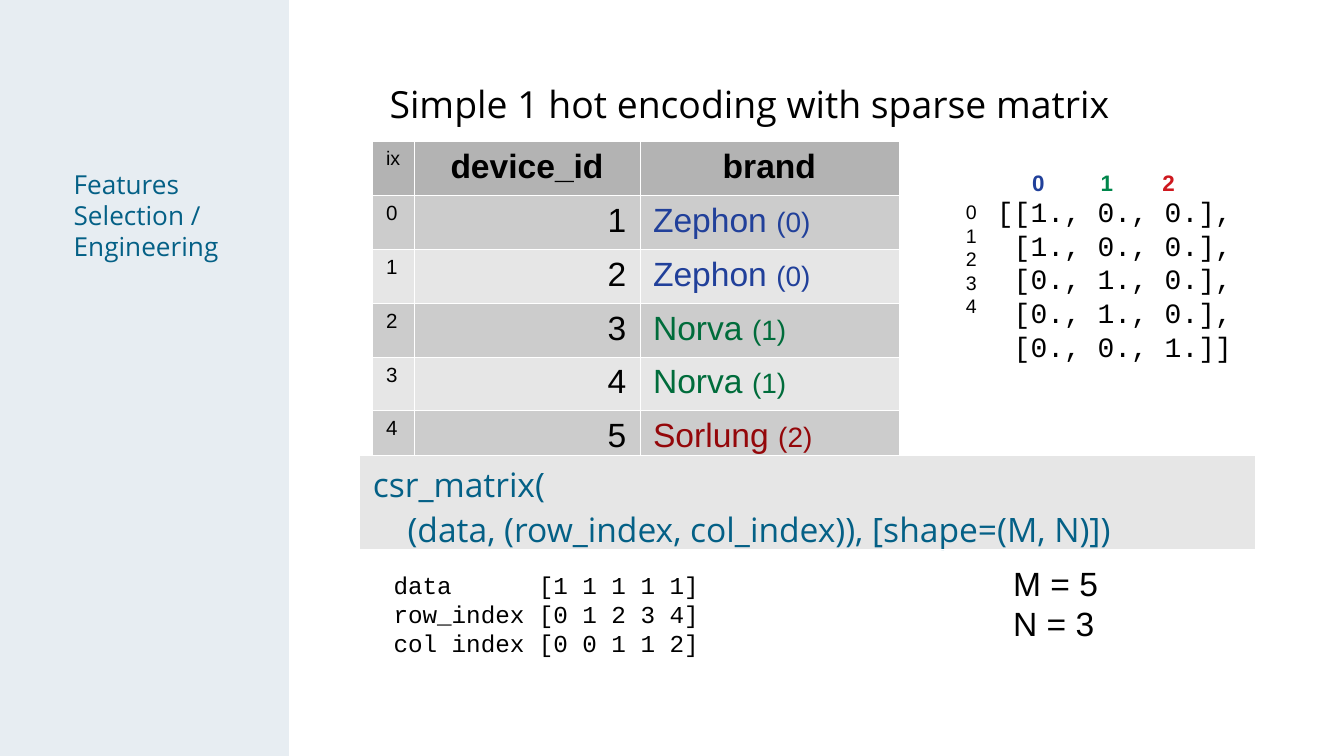
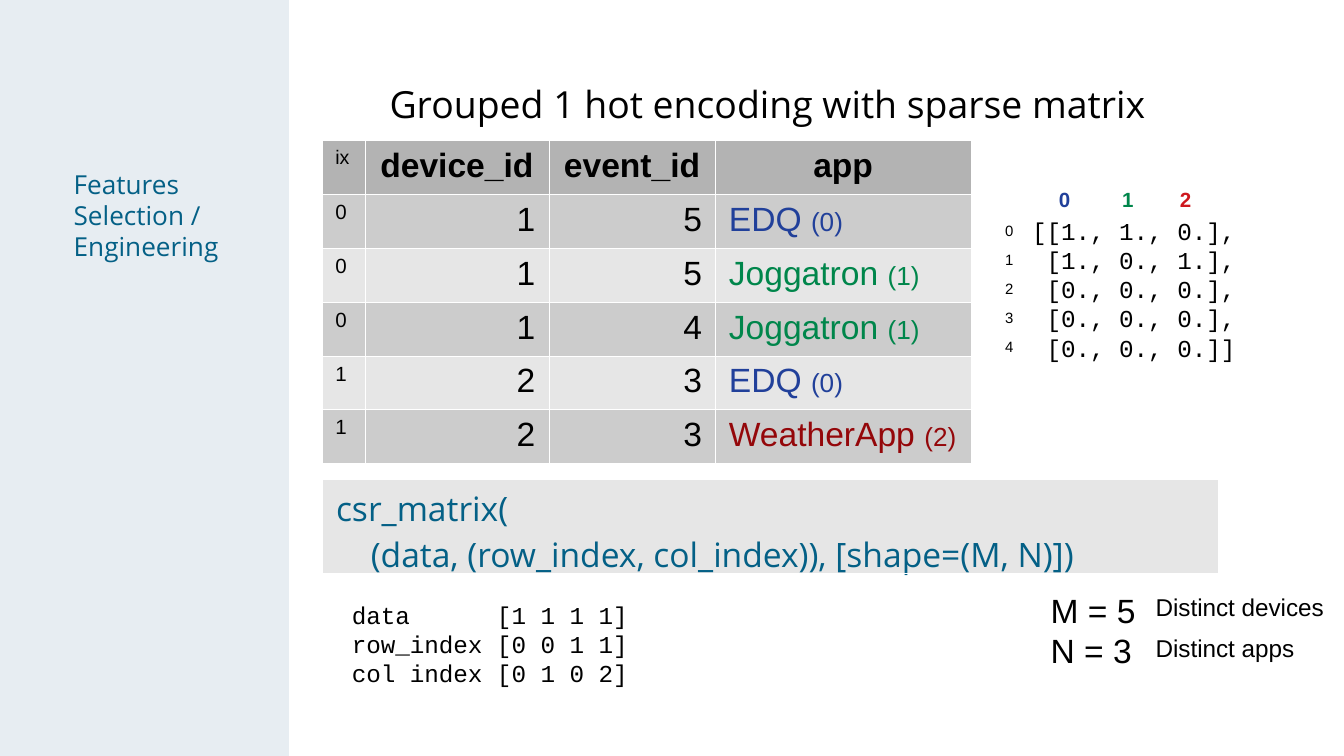
from dataclasses import dataclass

from lxml import etree
from pptx import Presentation
from pptx import util as u
from pptx.dml.color import RGBColor
from pptx.enum import shapes, text
from pptx.oxml import ns

Pt = u.Pt
ALIGN = text.PP_ALIGN


@dataclass(frozen=True)
class Theme:
    sans: str = "Open Sans"
    plain: str = "Arial"
    mono: str = "Courier New"
    ink: str = "000000"
    teal: str = "046086"
    side: str = "E7EDF2"
    white: str = "FFFFFF"
    head: str = "B3B3B3"
    dark: str = "CCCCCC"
    light: str = "E6E6E6"
    blue: str = "21409A"
    green: str = "00864B"
    pine: str = "006C3B"
    red: str = "CE181E"
    wine: str = "94070A"
    title: float = 20
    large: float = 18
    mid: float = 15
    label: float = 14
    body: float = 13
    axis: float = 12
    index: float = 11
    small: float = 10.5
    tiny: float = 8
    row: float = 27.5
    rule: float = 0.06


class Deck:
    def __init__(self, theme):
        self.theme = theme
        self.prs = Presentation()
        self.prs.slide_width = Pt(720)
        self.prs.slide_height = Pt(405)
        self.slide = None

    def style(self, run, size, color=None, font=None, bold=False):
        run.font.size = Pt(size)
        run.font.name = font or self.theme.plain
        run.font.bold = bold
        run.font.color.rgb = RGBColor.from_string(color or self.theme.ink)

    def fill_text(self, frame, words, size, color=None, font=None, bold=False,
                  align=ALIGN.LEFT, after=0):
        frame.text = words
        for para in frame.paragraphs:
            para.alignment = align
            if after:
                para.space_after = Pt(after)
            for run in para.runs:
                self.style(run, size, color, font, bold)

    def frame(self, x, y, w, h):
        box = self.slide.shapes.add_textbox(Pt(x), Pt(y), Pt(w), Pt(h))
        box.text_frame.word_wrap = True
        return box.text_frame

    def label(self, x, y, w, h, words, size, **look):
        self.fill_text(self.frame(x, y, w, h), words, size, **look)

    def page(self, title):
        t = self.theme
        self.slide = self.prs.slides.add_slide(self.prs.slide_layouts[6])
        band = self.slide.shapes.add_shape(
            shapes.MSO_SHAPE.RECTANGLE, 0, 0, Pt(154.8), self.prs.slide_height)
        band.shadow.inherit = False
        band.fill.solid()
        band.fill.fore_color.rgb = RGBColor.from_string(t.side)
        band.line.fill.background()
        self.label(32.4, 86.4, 124, 74, "Features Selection / Engineering",
                   t.label, color=t.teal, font=t.sans)
        self.label(201.6, 40, 461.5, 35, title, t.title, font=t.sans)

    def paint(self, cell, fill):
        cell.fill.solid()
        cell.fill.fore_color.rgb = RGBColor.from_string(fill)
        props = cell._tc.get_or_add_tcPr()
        for spot, side in enumerate(("a:lnL", "a:lnR", "a:lnT", "a:lnB")):
            line = etree.Element(ns.qn(side), w=str(Pt(self.theme.rule)))
            solid = etree.SubElement(line, ns.qn("a:solidFill"))
            etree.SubElement(solid, ns.qn("a:srgbClr"), val=self.theme.white)
            props.insert(spot, line)

    def table(self, x, y, cols, count, high):
        table = self.slide.shapes.add_table(
            count, len(cols), Pt(x), Pt(y), Pt(sum(cols)), Pt(count * high)).table
        table.first_row = False
        table.horz_banding = False
        for col, wide in zip(table.columns, cols):
            col.width = Pt(wide)
        for row in table.rows:
            row.height = Pt(high)
        return table

    def grid(self, x, y, cols, heads, rows, tints, small):
        t = self.theme
        table = self.table(x, y, cols, len(rows) + 1, t.row)
        for c, head in enumerate(heads):
            cell = table.cell(0, c)
            self.paint(cell, t.head)
            if c:
                self.fill_text(cell.text_frame, head, t.large, bold=True,
                               align=ALIGN.CENTER)
            else:
                self.fill_text(cell.text_frame, head, t.small)
        for r, (index, *nums, name, code) in enumerate(rows, 1):
            cells = [table.cell(r, c) for c in range(len(cols))]
            for cell in cells:
                self.paint(cell, t.dark if r % 2 else t.light)
            self.fill_text(cells[0].text_frame, str(index), t.index)
            for cell, num in zip(cells[1:], nums):
                self.fill_text(cell.text_frame, str(num), t.large,
                               align=ALIGN.RIGHT)
            last = cells[-1].text_frame
            self.fill_text(last, f"{name} ", t.large, color=tints[code])
            run = last.paragraphs[0].add_run()
            run.text = f"({code})"
            self.style(run, small, tints[code])

    def call(self, x, y):
        t = self.theme
        cell = self.table(x, y, [480], 1, 49).cell(0, 0)
        self.paint(cell, t.light)
        self.fill_text(cell.text_frame,
                       "csr_matrix(\v    (data, (row_index, col_index)), [shape=(M, N)])",
                       t.large, color=t.teal, font=t.sans)

    def code(self, x, y, w, h, lines, size):
        self.label(x, y, w, h, "\n".join(lines), size, font=self.theme.mono)

    def axis(self, x, y, stops, size):
        t = self.theme
        para = self.frame(x, y, 109, 20).paragraphs[0]
        tabs = etree.SubElement(para._p.get_or_add_pPr(), ns.qn("a:tabLst"))
        for stop in stops:
            etree.SubElement(tabs, ns.qn("a:tab"), pos=str(Pt(stop)), algn="l")
        for num, tint in enumerate((t.blue, t.green, t.red)):
            run = para.add_run()
            run.text = f"\t{num}" if num else "0"
            self.style(run, size, tint, bold=True)

    def index(self, x, y, size, after=0):
        self.label(x, y, 24, 90, "\n".join(map(str, range(5))), size, after=after)

    def dims(self, x, y):
        self.label(x, y, 72, 48, "M = 5\nN = 3", self.theme.large)


def simple(deck):
    t = deck.theme
    deck.page("Simple 1 hot encoding with sparse matrix")
    deck.grid(199.6, 75.8, [22.5, 120.6, 139], ["ix", "device_id", "brand"],
              [(0, 1, "Zephon", 0), (1, 2, "Zephon", 0), (2, 3, "Norva", 1),
               (3, 4, "Norva", 1), (4, 5, "Sorlung", 2)],
              [t.blue, t.pine, t.wine], t.mid)
    deck.dims(535.7, 298)
    deck.call(192.5, 243.6)
    deck.code(203.8, 301.7, 232, 60,
              ["data      [1 1 1 1 1]",
               "row_index [0 1 2 3 4]",
               "col index [0 0 1 1 2]"], t.body)
    deck.code(527, 100.8, 148, 109,
              ["[[1., 0., 0.],", " [1., 0., 0.],", " [0., 1., 0.],",
               " [0., 1., 0.],", " [0., 0., 1.]]"], t.mid)
    deck.axis(545.8, 87.1, [36.7, 69.8], t.axis)
    deck.index(510.3, 103.7, t.small)


def grouped(deck):
    t = deck.theme
    deck.page("Grouped 1 hot encoding with sparse matrix")
    deck.dims(555.8, 312.5)
    deck.call(172.8, 256.8)
    deck.code(181.4, 318, 210, 60,
              ["data      [1 1 1 1]",
               "row_index [0 0 1 1]",
               "col index [0 1 0 2]"], t.body)
    deck.grid(172.4, 75.3, [23.2, 98.4, 89.3, 136.8],
              ["ix", "device_id", "event_id", "app"],
              [(0, 1, 5, "EDQ", 0), (0, 1, 5, "Joggatron", 1),
               (0, 1, 4, "Joggatron", 1), (1, 2, 3, "EDQ", 0),
               (1, 2, 3, "WeatherApp", 2)],
              [t.blue, t.green, t.wine], t.label)
    deck.code(545.8, 112.3, 140, 80,
              ["[[1., 1., 0.],", " [1., 0., 1.],", " [0., 0., 0.],",
               " [0., 0., 0.],", " [0., 0., 0.]]"], t.body)
    for row, note in enumerate(("Distinct devices", "Distinct apps")):
        deck.label(612, 314 + 21.6 * row, 108, 21.6, note, t.body)
    deck.index(531.4, 115.2, t.tiny, after=6)
    deck.axis(560.2, 96.5, [33.8, 64.8], t.index)


def main():
    deck = Deck(Theme())
    simple(deck)
    grouped(deck)
    deck.prs.save("out.pptx")


if __name__ == "__main__":
    main()
